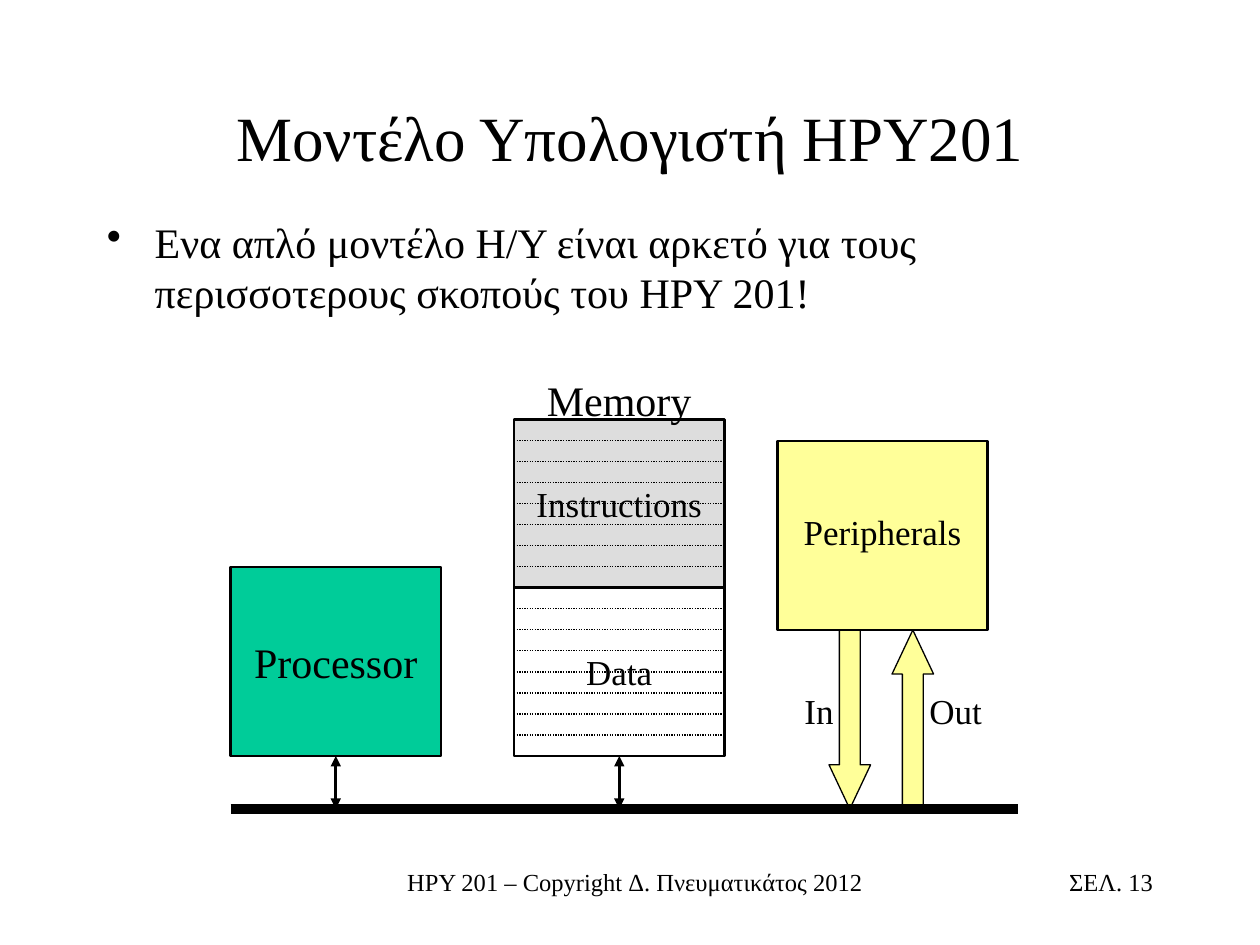
import pptx
import pptx.util
import pptx.dml.color
import pptx.enum.dml
import pptx.enum.shapes
import pptx.enum.text
import pptx.oxml
import pptx.oxml.ns

Inches = pptx.util.Inches
Pt = pptx.util.Pt
Shape = pptx.enum.shapes.MSO_SHAPE
Align = pptx.enum.text.PP_ALIGN
Anchor = pptx.enum.text.MSO_ANCHOR
FONT = "Times New Roman"
BLACK = "000000"
YELLOW = "FFFF99"
BUS = 6.42


def color(code):
    return pptx.dml.color.RGBColor.from_string(code)


def node(parent, tag, **attrs):
    item = pptx.oxml.parse_xml(f"<a:{tag} {pptx.oxml.ns.nsdecls('a')}/>")
    for key, value in attrs.items():
        item.set(key, value)
    parent.append(item)


def write(slide, text, box, size=20, align=Align.CENTER, anchor=Anchor.TOP, bullet=None):
    frame = slide.shapes.add_textbox(*map(Inches, box)).text_frame
    frame.word_wrap = True
    frame.vertical_anchor = anchor
    para = frame.paragraphs[0]
    para.alignment = align
    if bullet:
        props = para._p.get_or_add_pPr()
        props.set("marL", str(Inches(0.38)))
        props.set("indent", str(Inches(-0.38)))
        node(props, "buChar", char=bullet)
    run = para.add_run()
    run.text = text
    run.font.name = FONT
    run.font.size = Pt(size)
    run.font.color.rgb = color(BLACK)


def block(slide, kind, box, fill, width=1.5):
    shape = slide.shapes.add_shape(kind, *map(Inches, box))
    shape.shadow.inherit = False
    shape.fill.solid()
    shape.fill.fore_color.rgb = color(fill)
    shape.line.color.rgb = color(BLACK)
    shape.line.width = Pt(width)
    return shape


def line(slide, start, end, width, dash=None, heads=False):
    link = slide.shapes.add_connector(
        pptx.enum.shapes.MSO_CONNECTOR.STRAIGHT, *map(Inches, start + end))
    link.line.color.rgb = color(BLACK)
    link.line.width = Pt(width)
    if dash:
        link.line.dash_style = dash
    if heads:
        for tag in ("headEnd", "tailEnd"):
            node(link.line._get_or_add_ln(), tag, type="triangle")
    node(link._element.spPr, "effectLst")
    return link


def plug(slide, shape, box):
    left, top, width, height = box
    mid = left + width / 2
    link = line(slide, (mid, top + height), (mid, BUS), 1.5, heads=True)
    link.begin_connect(shape, 2)


def processor(slide, box):
    left, top, width, height = box
    plug(slide, block(slide, Shape.RECTANGLE, box, "00CC99"), box)
    write(slide, "Processor", (left, top + 0.5, width, 0.5), size=24)


def bank(slide, text, box, fill):
    left, top, width, height = box
    shape = block(slide, Shape.RECTANGLE, box, fill)
    dots = pptx.enum.dml.MSO_LINE.ROUND_DOT
    for row in range(1, 8):
        y = top + row * height / 8
        line(slide, (left, y), (left + width, y), 0.75, dash=dots)
    write(slide, text, (left, top + 0.45, width, 0.44))
    return shape


def memory(slide, box):
    left, top, width, height = box
    half = height / 2
    data = bank(slide, "Data", (left, top + half, width, half), "FFFFFF")
    plug(slide, data, box)
    bank(slide, "Instructions", (left, top, width, half), "DDDDDD")
    write(slide, "Memory", (left, top - 0.41, width, 0.5), size=24)


def devices(slide, box):
    left, top, width, height = box
    base = top + height
    for kind, shift in ((Shape.UP_ARROW, 0.91), (Shape.DOWN_ARROW, 0.41)):
        arrow = block(slide, kind, (left + shift, base, 0.33, BUS - base), YELLOW, width=0.75)
        arrow.adjustments[0] = 0.5
        arrow.adjustments[1] = 1.06
    block(slide, Shape.RECTANGLE, box, YELLOW)
    write(slide, "Peripherals", (left, top + 0.5, width, 0.44))
    for text, shift, span in (("In", 0.08, 0.5), ("Out", 1.08, 0.67)):
        write(slide, text, (left + shift, base + 0.42, span, 0.44))


def diagram(slide, box):
    left, top, width, height = box
    processor(slide, (left, top + 1.17, 1.67, 1.5))
    memory(slide, (left + 2.25, top, 1.67, 2.67))
    devices(slide, (left + 4.34, top + 0.17, 1.67, 1.5))
    line(slide, (left, BUS), (left + width, BUS), 6)


def heading(slide, box):
    write(slide, "Μοντέλο Υπολογιστή ΗΡΥ201", box, size=36, anchor=Anchor.MIDDLE)


def body(slide, box):
    write(slide, "Ενα απλό μοντέλο Η/Υ είναι αρκετό για τους περισσοτερους σκοπούς του ΗΡΥ 201!",
          box, size=24, align=Align.LEFT, bullet="•")


def footer(slide, box):
    left, top, width, height = box
    write(slide, "ΗΡΥ 201 – Copyright Δ. Πνευματικάτος 2012", (left, top, 4.08, height), size=14)
    write(slide, "ΣΕΛ. 13", (left + width - 2.08, top, 2.08, height), size=14, align=Align.RIGHT)


def main():
    deck = pptx.Presentation()
    deck.slide_width = Inches(10)
    deck.slide_height = Inches(7.5)
    slide = deck.slides.add_slide(deck.slide_layouts[6])
    footer(slide, (3, 6.83, 6.25, 0.5))
    heading(slide, (0.75, 0.67, 8.5, 0.83))
    body(slide, (0.75, 1.67, 8.5, 5))
    diagram(slide, (1.83, 3.33, 6.25, 3.09))
    deck.save("out.pptx")


if __name__ == "__main__":
    main()
